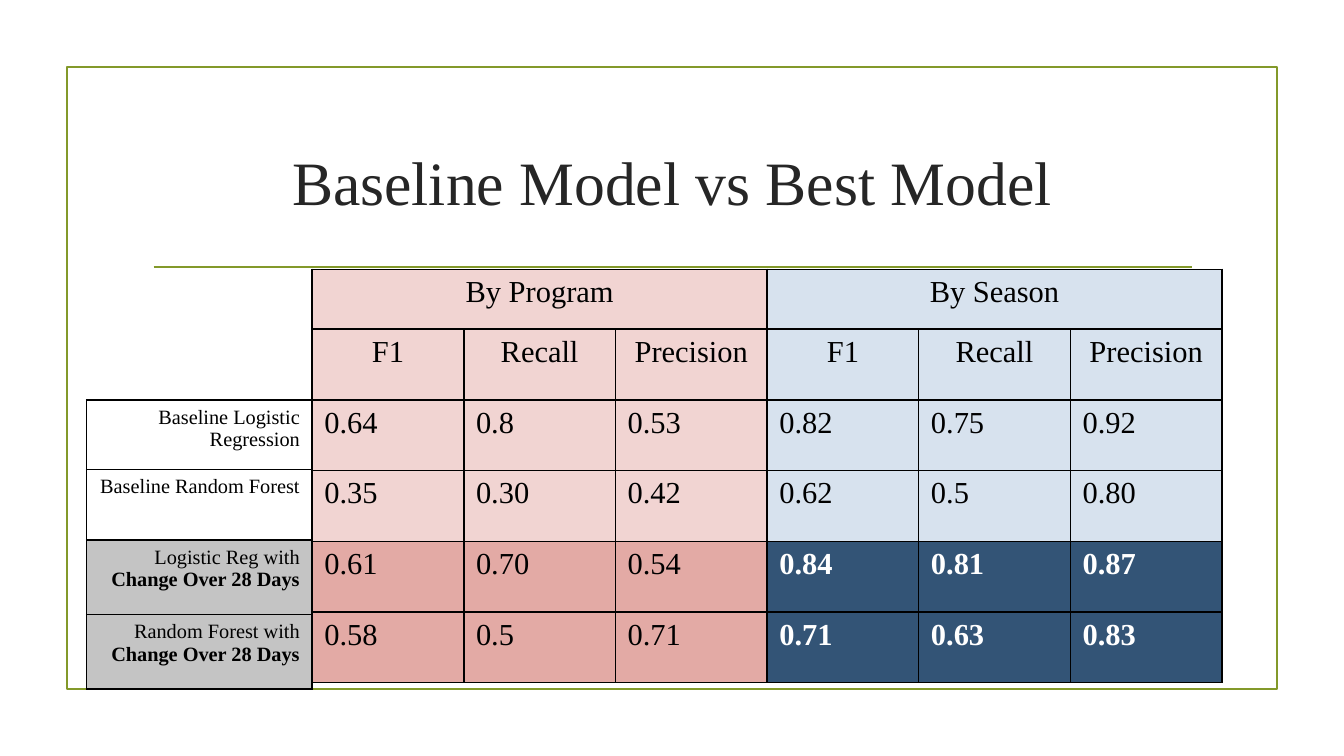
"""Build a slide comparing baseline and best model scores."""
import pptx
import pptx.util
import pptx.dml.color
import pptx.enum.shapes
import pptx.enum.text
import pptx.oxml
import pptx.oxml.ns
import lxml.etree

Inches, Pt = pptx.util.Inches, pptx.util.Pt
ALIGN = pptx.enum.text.PP_ALIGN
FONT = "Times New Roman"
GREEN, BLACK, WHITE = "83992A", "000000", "FFFFFF"
PINK, ROSE, PALE, NAVY, GREY = "F1D4D2", "E3AAA5", "D7E2EE", "335476", "C4C4C4"


def rgb(value):
    return pptx.dml.color.RGBColor.from_string(value)


def format_cell(cell, parts, size, align, fill=None, color=BLACK):
    p = cell.text_frame.paragraphs[0]
    p.alignment = align
    for text, bold in parts:
        r = p.add_run()
        r.text = text
        r.font.name, r.font.size, r.font.bold = FONT, Pt(size), bold
        r.font.color.rgb = rgb(color)
    if fill:
        cell.fill.solid()
        cell.fill.fore_color.rgb = rgb(fill)
    else:
        cell.fill.background()
    tcPr = cell._tc.get_or_add_tcPr()
    for i, side in enumerate(("lnL", "lnR", "lnT", "lnB")):
        tcPr.insert(i, pptx.oxml.parse_xml(
            f'<a:{side} {pptx.oxml.ns.nsdecls("a")} w="12700"><a:solidFill>'
            f'<a:srgbClr val="{BLACK}"/></a:solidFill></a:{side}>'))


prs = pptx.Presentation()
prs.slide_width, prs.slide_height = Inches(11.02), Inches(6.2)
s = prs.slides.add_slide(prs.slide_layouts[5])

frame = s.shapes.add_shape(pptx.enum.shapes.MSO_SHAPE.RECTANGLE,
                           Inches(0.55), Inches(0.55), Inches(9.92), Inches(5.1))
frame.shadow.inherit = False
frame.fill.background()
rule = s.shapes.add_connector(pptx.enum.shapes.MSO_CONNECTOR.STRAIGHT,
                              Inches(1.26), Inches(2.19), Inches(9.77), Inches(2.19))
lxml.etree.SubElement(rule._element.spPr, pptx.oxml.ns.qn("a:effectLst"))
for sp in (frame, rule):
    sp.line.color.rgb = rgb(GREEN)
    sp.line.width = Pt(1.25)

title = s.shapes.title
title.left, title.top, title.width, title.height = map(Inches, (1.17, 0.89, 8.68, 1.18))
tf = title.text_frame
tf.text = "Baseline Model vs Best Model"
tf.vertical_anchor = pptx.enum.text.MSO_ANCHOR.MIDDLE
p = tf.paragraphs[0]
p.alignment = ALIGN.CENTER
font = p.runs[0].font
font.name, font.size = FONT, Pt(36.4)
font.color.rgb = rgb("262626")

scores = [
    ["By Program", "", "", "By Season", "", ""],
    ["F1", "Recall", "Precision"] * 2,
    ["0.64", "0.8", "0.53", "0.82", "0.75", "0.92"],
    ["0.35", "0.30", "0.42", "0.62", "0.5", "0.80"],
    ["0.61", "0.70", "0.54", "0.84", "0.81", "0.87"],
    ["0.58", "0.5", "0.71", "0.71", "0.63", "0.83"],
]
labels = [
    [("Baseline Logistic Regression", False)],
    [("Baseline Random Forest", False)],
    [("Logistic Reg with ", False), ("Change Over 28 Days", True)],
    [("Random Forest with ", False), ("Change Over 28 Days", True)],
]

score_shape = s.shapes.add_table(6, 6, Inches(2.56), Inches(2.21), Inches(7.46), Inches(3.4))
label_shape = s.shapes.add_table(4, 1, Inches(0.71), Inches(3.28), Inches(1.85), Inches(2.37))
score_table, label_table = score_shape.table, label_shape.table
for table, heights in ((score_table, [0.49] + [0.58] * 5),
                       (label_table, [0.57, 0.58, 0.61, 0.61])):
    table.first_row = table.horz_banding = False
    for row, height in zip(table.rows, heights):
        row.height = Inches(height)

for i, row in enumerate(scores):
    best = i >= 4
    for j, text in enumerate(row):
        season = j >= 3
        fill = (NAVY if best else PALE) if season else (ROSE if best else PINK)
        strong = best and season
        format_cell(score_table.cell(i, j), [(text, strong)] if text else [], 18,
                    ALIGN.CENTER if i < 2 else ALIGN.LEFT, fill,
                    WHITE if strong else BLACK)
for j in (0, 3):
    score_table.cell(0, j).merge(score_table.cell(0, j + 2))

for i, parts in enumerate(labels):
    format_cell(label_table.cell(i, 0), parts, 12, ALIGN.RIGHT, GREY if i >= 2 else None)

prs.save("out.pptx")
